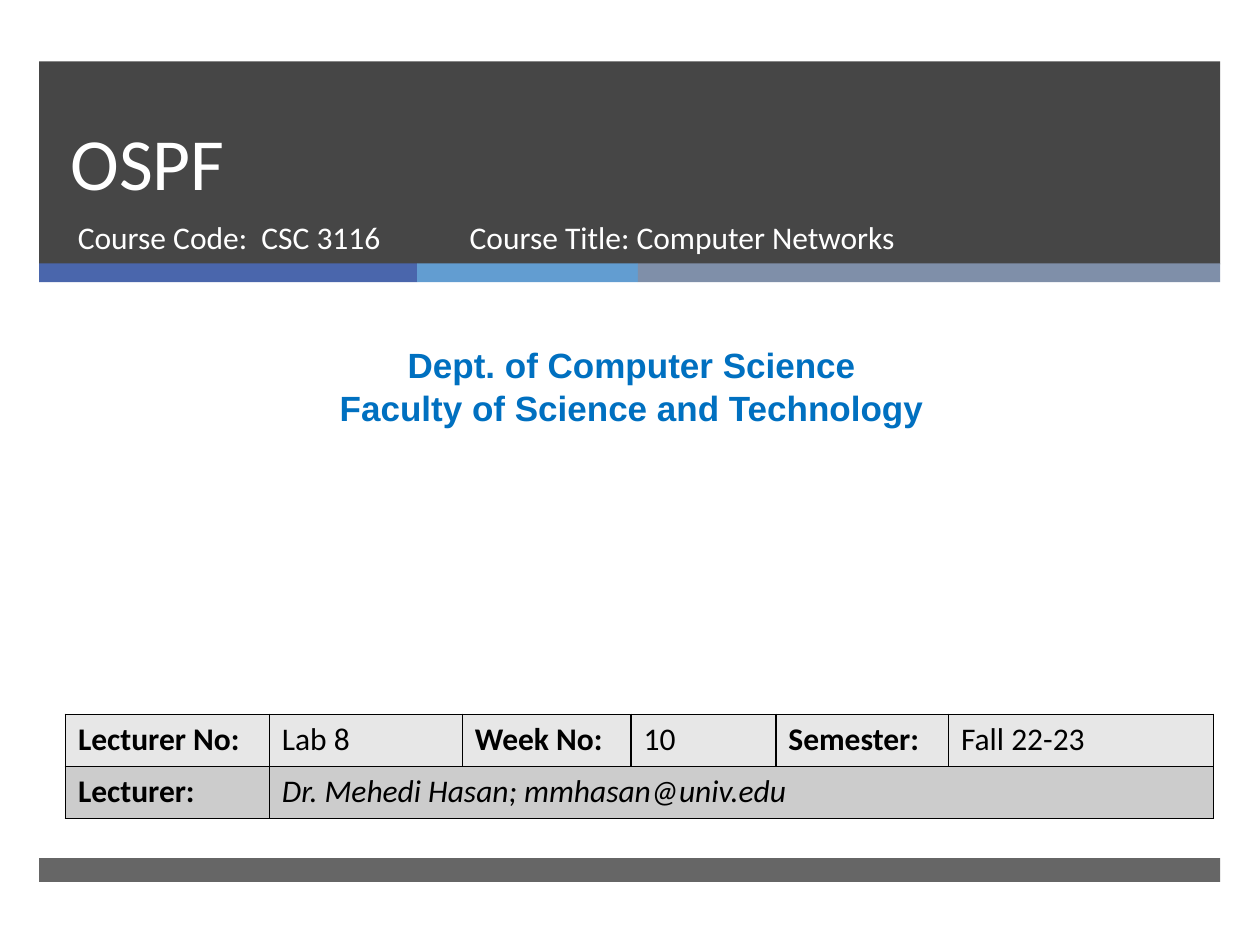
from lxml.etree import SubElement
from pptx import Presentation
from pptx.dml.color import RGBColor
from pptx.enum.shapes import MSO_SHAPE
from pptx.enum.text import MSO_ANCHOR, PP_ALIGN
from pptx.oxml.ns import qn
from pptx.util import Cm, Pt

COLORS = {
    "dark": "262626", "blue": "4A66AC", "sky": "629DD1", "slate": "7F8FA9",
    "white": "FFFFFF", "dept": "0070C0", "black": "000000",
    "row1": "E7E7E7", "row2": "CCCCCC",
}

prs = Presentation()
prs.slide_width, prs.slide_height = Cm(25.4), Cm(19.05)
s = prs.slides.add_slide(prs.slide_layouts[6])


def style(p, size, color, font="Calibri", bold=False, italic=False):
    for r in p.runs:
        r.font.size = Pt(size)
        r.font.name = font
        r.font.bold = bold
        r.font.italic = italic
        r.font.color.rgb = RGBColor.from_string(COLORS[color])


def add_text(text, left, top, width, height, size, color, font="Calibri", bold=False):
    tf = s.shapes.add_textbox(Cm(left), Cm(top), Cm(width), Cm(height)).text_frame
    tf.word_wrap = True
    tf.text = text
    for p in tf.paragraphs:
        style(p, size, color, font, bold)
    return tf


bands = [
    (0.79, 1.24, 23.81, 4.09, "dark", 85),
    (0.79, 5.31, 7.62, 0.38, "blue", 100),
    (8.41, 5.31, 4.45, 0.38, "sky", 100),
    (12.86, 5.31, 11.74, 0.38, "slate", 100),
    (0.79, 17.3, 23.81, 0.48, "dark", 70),
]
for left, top, width, height, color, opacity in bands:
    sp = s.shapes.add_shape(MSO_SHAPE.RECTANGLE, Cm(left), Cm(top), Cm(width), Cm(height))
    sp.shadow.inherit = False
    sp.line.fill.background()
    sp.fill.solid()
    sp.fill.fore_color.rgb = RGBColor.from_string(COLORS[color])
    if opacity < 100:
        clr = sp.fill._xPr.find(qn("a:solidFill"))[0]
        SubElement(clr, qn("a:alpha"), val=str(opacity * 1000))

title = add_text("OSPF", 1.17, 1.24, 21.69, 3.02, 42, "white")
title.vertical_anchor = MSO_ANCHOR.BOTTOM
title.paragraphs[0].line_spacing = Pt(46)

add_text("Course Code:  CSC 3116", 1.32, 4.27, 7.75, 1.35, 18, "white")
add_text("Course Title: Computer Networks", 9.22, 4.27, 11.56, 1.35, 18, "white")

dept = add_text("Dept. of Computer Science\nFaculty of Science and Technology",
                0.2, 6.81, 25.07, 1.96, 20, "dept", "Arial", True)
for p in dept.paragraphs:
    p.alignment = PP_ALIGN.CENTER

rows = [
    ["Lecturer No:", "Lab 8", "Week No:", "10", "Semester:", "Fall 22-23"],
    ["Lecturer:", "Dr. Mehedi Hasan; mmhasan@univ.edu", "", "", "", ""],
]
widths = [4.11, 3.89, 3.4, 2.92, 3.48, 5.34]
table = s.shapes.add_table(2, 6, Cm(1.32), Cm(14.4), Cm(sum(widths)), Cm(2.1)).table
for col, width in zip(table.columns, widths):
    col.width = Cm(width)
table.cell(1, 1).merge(table.cell(1, 5))

for i, row in enumerate(rows):
    table.rows[i].height = Cm(1.05)
    for j, text in enumerate(row):
        cell = table.cell(i, j)
        tcPr = cell._tc.get_or_add_tcPr()
        for side in ("lnL", "lnR", "lnT", "lnB"):
            ln = SubElement(tcPr, qn("a:" + side), w=str(Pt(1)))
            SubElement(SubElement(ln, qn("a:solidFill")), qn("a:srgbClr"), val=COLORS["black"])
        cell.fill.solid()
        cell.fill.fore_color.rgb = RGBColor.from_string(COLORS[f"row{i + 1}"])
        if text:
            cell.text_frame.text = text
            style(cell.text_frame.paragraphs[0], 18, "black",
                  bold=j % 2 == 0, italic=(i, j) == (1, 1))

prs.save("out.pptx")
